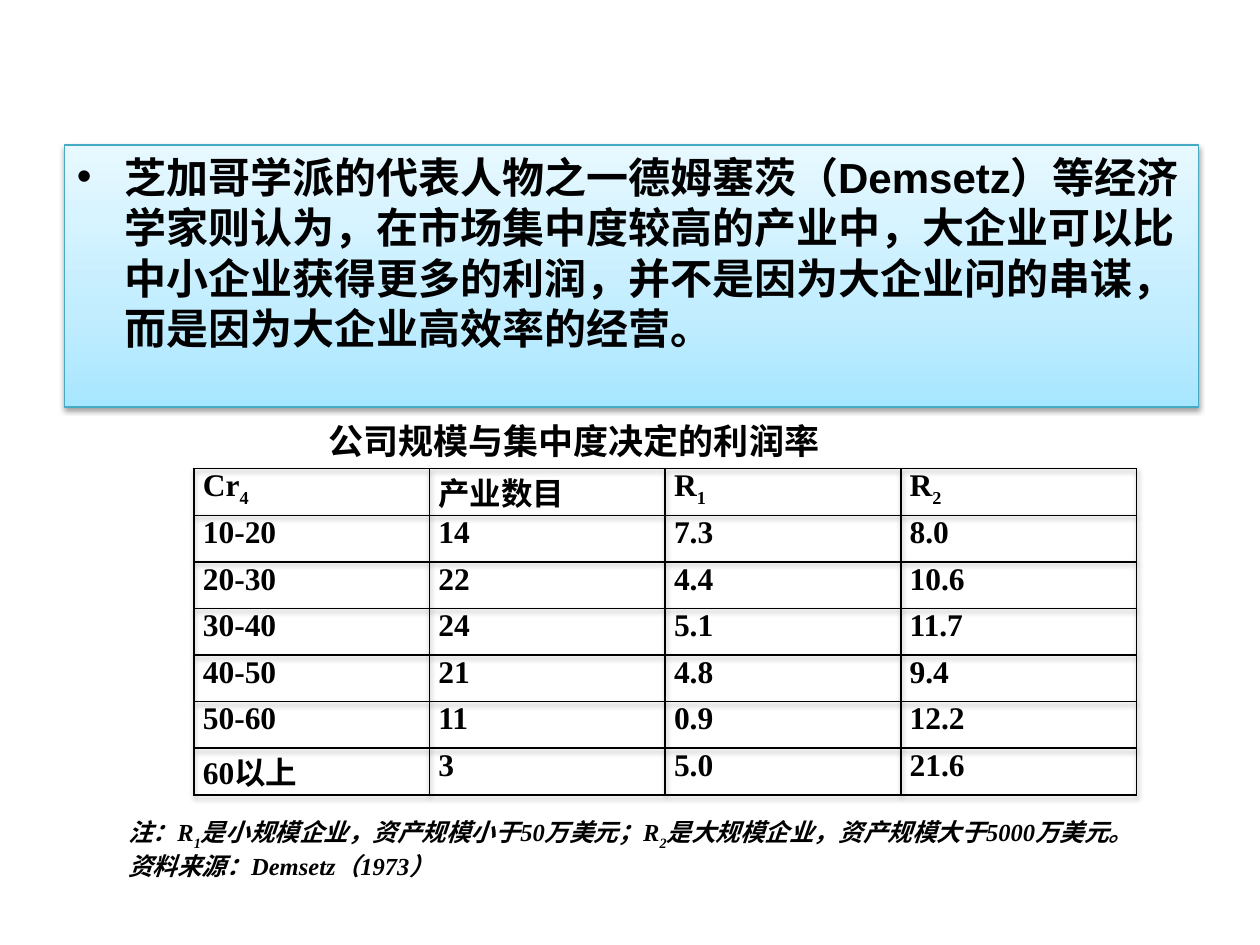
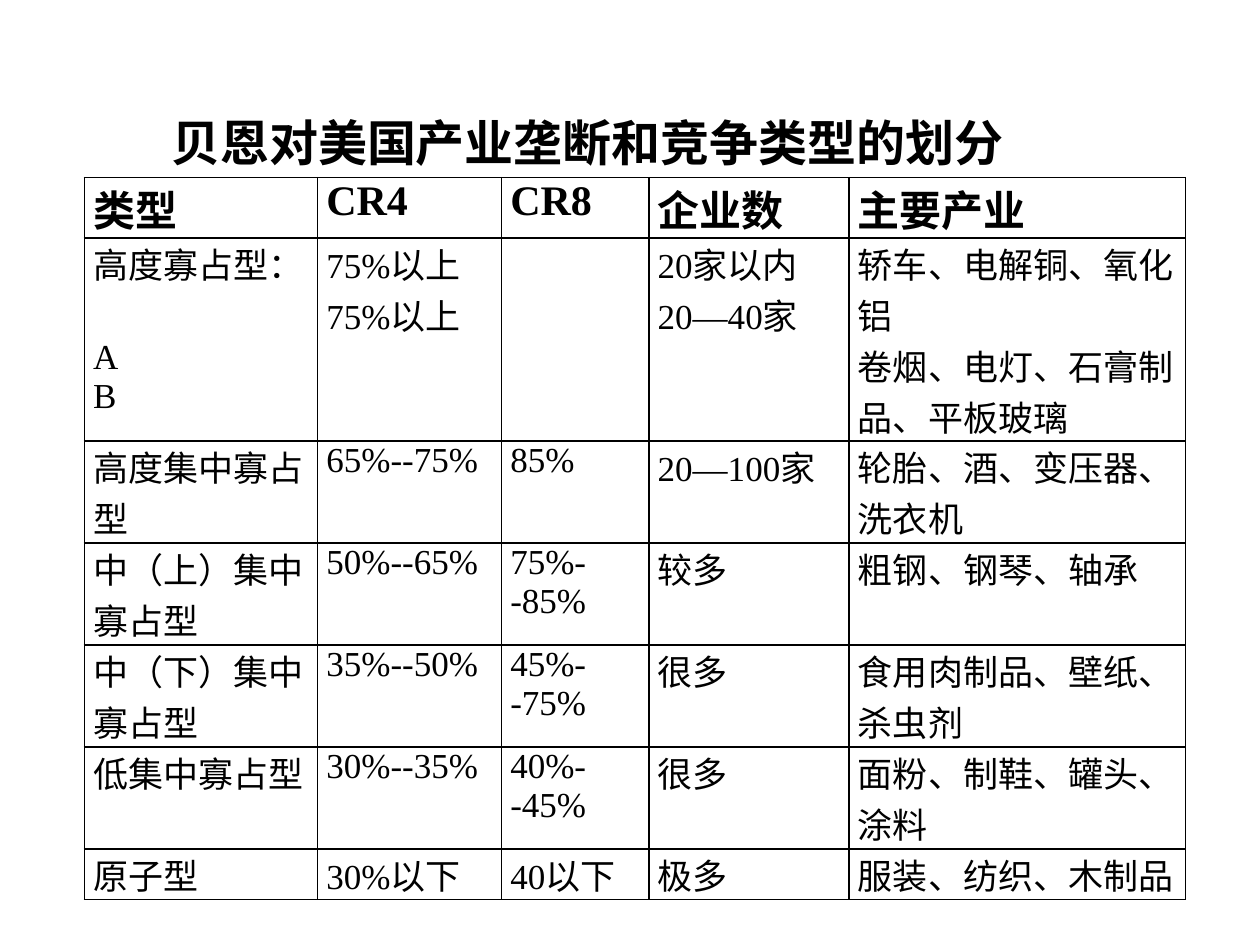
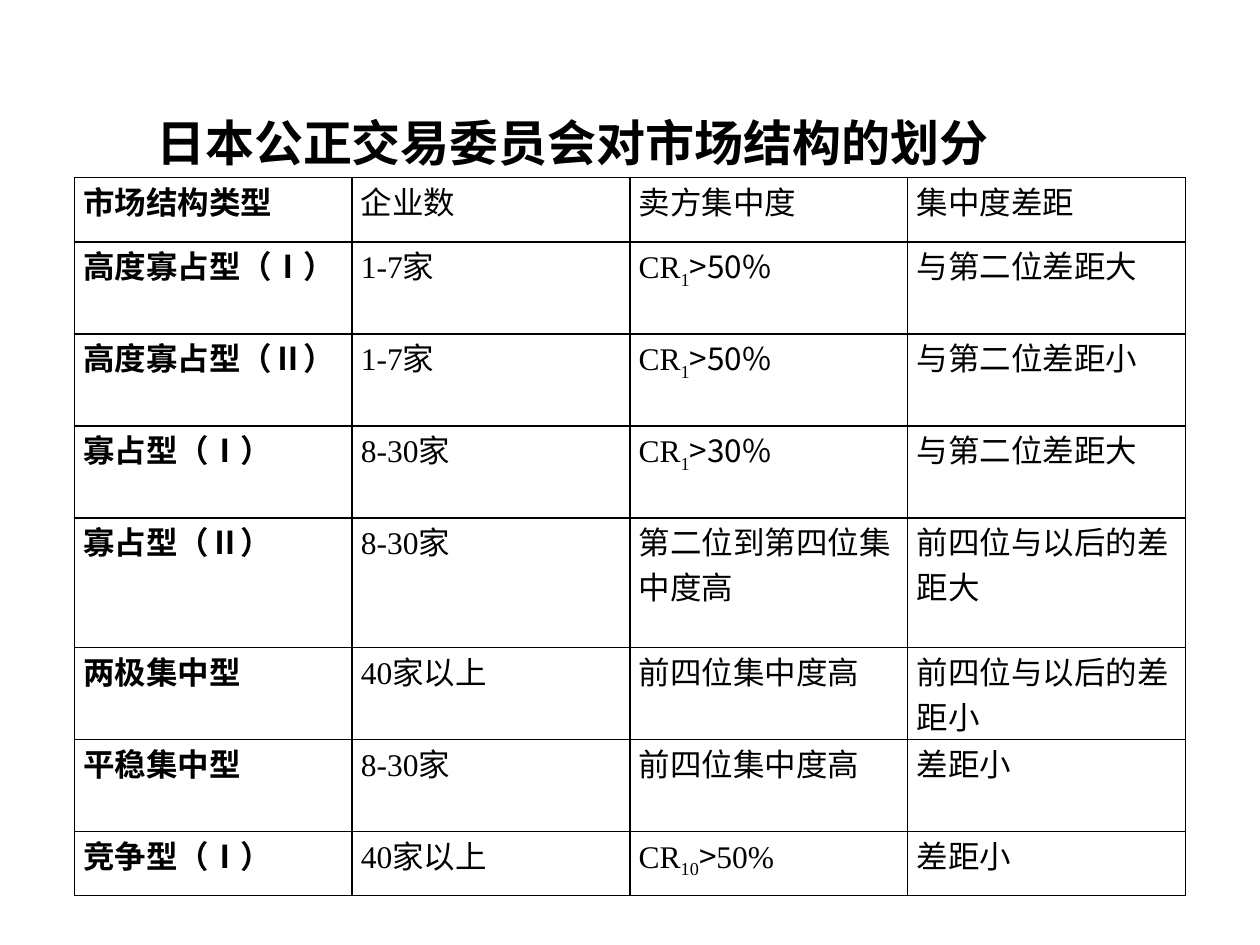
"""Build three slides on market concentration, firm size and profit rates."""
from dataclasses import dataclass

from pptx import Presentation
from pptx import util as u
from pptx.dml.color import RGBColor
from pptx.enum import text
from pptx.oxml import parse_xml
from pptx.oxml.ns import nsdecls


@dataclass(frozen=True)
class Theme:
    ink: str = "000000"
    panel_line: str = "46AAC5"
    panel_stops: tuple = ((0, "A7E6FF"), (35, "C1EDFF"), (100, "E7F8FF"))
    serif: str = "Times New Roman"
    sans: str = "Arial"
    cjk: str = "Noto Sans CJK SC"
    title: int = 28
    lead: int = 24
    caption: int = 20
    body: int = 18
    note: int = 14


T = Theme()
BASELINES = {"sub": "-25000", "low": "-30000"}
SHADOW = (f'<a:effectLst {nsdecls("a")}><a:outerShdw blurRad="40000" dist="20000" '
          f'dir="5400000" rotWithShape="0"><a:srgbClr val="{T.ink}"><a:alpha val="38000"/>'
          '</a:srgbClr></a:outerShdw></a:effectLst>')


def write(tf, content, size, bold=True, italic=False, font=T.serif, align=None):
    """Write paragraphs whose runs are strings or (string, style) pairs."""
    paragraphs = content if isinstance(content, list) else [content]
    for i, runs in enumerate(paragraphs):
        p = tf.add_paragraph() if i else tf.paragraphs[0]
        p.alignment = align
        for run in [runs] if isinstance(runs, str) else runs:
            words, style = (run, None) if isinstance(run, str) else run
            r = p.add_run()
            r.text = words
            r.font.size = u.Pt(size)
            r.font.bold = bold
            r.font.italic = italic
            r.font.color.rgb = RGBColor.from_string(T.ink)
            r.font.name = T.cjk if style == "cjk" else font
            rPr = r.font._element
            rPr.append(parse_xml(f'<a:ea {nsdecls("a")} typeface="{T.cjk}"/>'))
            if style in BASELINES:
                rPr.set("baseline", BASELINES[style])


def place(sp, left, top, width, height):
    """Set the position and size of a shape in inches."""
    sp.left, sp.top = u.Inches(left), u.Inches(top)
    sp.width, sp.height = u.Inches(width), u.Inches(height)


profit_rows = [
    [("Cr", ("4", "sub")), "产业数目", ("R", ("1", "sub")), ("R", ("2", "sub"))],
    ["10-20", "14", "7.3", "8.0"],
    ["20-30", "22", "4.4", "10.6"],
    ["30-40", "24", "5.1", "11.7"],
    ["40-50", "21", "4.8", "9.4"],
    ["50-60", "11", "0.9", "12.2"],
    ["60以上", "3", "5.0", "21.6"],
]
bain_rows = [
    ["类型", "CR4", "CR8", "企业数", "主要产业"],
    [["高度寡占型：", "A", "B"], ["75%以上", "75%以上"], "", ["20家以内", "20—40家"],
     ["轿车、电解铜、氧化铝", "卷烟、电灯、石膏制品、平板玻璃"]],
    ["高度集中寡占型", "65%--75%", "85%", "20—100家", "轮胎、酒、变压器、洗衣机"],
    ["中（上）集中寡占型", "50%--65%", "75%--85%", "较多", "粗钢、钢琴、轴承"],
    ["中（下）集中寡占型", "35%--50%", "45%--75%", "很多", "食用肉制品、壁纸、杀虫剂"],
    ["低集中寡占型", "30%--35%", "40%--45%", "很多", "面粉、制鞋、罐头、涂料"],
    ["原子型", "30%以下", "40以下", "极多", "服装、纺织、木制品"],
]
over_50 = ("CR", ("1", "sub"), (">50%", "cjk"))
over_30 = ("CR", ("1", "sub"), (">30%", "cjk"))
top_ten = ("CR", ("10", "sub"), (">", "cjk"), "50%")
japan_rows = [
    ["市场结构类型", "企业数", "卖方集中度", "集中度差距"],
    ["高度寡占型（Ⅰ）", "1-7家", over_50, "与第二位差距大"],
    ["高度寡占型（Ⅱ）", "1-7家", over_50, "与第二位差距小"],
    ["寡占型（Ⅰ）", "8-30家", over_30, "与第二位差距大"],
    ["寡占型（Ⅱ）", "8-30家", "第二位到第四位集中度高", "前四位与以后的差距大"],
    ["两极集中型", "40家以上", "前四位集中度高", "前四位与以后的差距小"],
    ["平稳集中型", "8-30家", "前四位集中度高", "差距小"],
    ["竞争型（Ⅰ）", "40家以上", top_ten, "差距小"],
]
pages = [
    dict(layout=1, title="公司规模与集中度决定的利润率", title_at=(2.48, 3.28, 4.15, 0.44),
         title_size=T.caption, align=text.PP_ALIGN.CENTER, left=1.54, top=3.72,
         cols=[1.87] * 4, heights=[0.37] * 7, rows=profit_rows,
         sizes=(T.body, T.body), bold=lambda row, col: True),
    dict(layout=5, title="贝恩对美国产业垄断和竞争类型的划分", title_at=(1.26, 0.84, 6.85, 0.57),
         title_size=T.title, align=text.PP_ALIGN.LEFT, left=0.67, top=1.41,
         cols=[1.85, 1.46, 1.17, 1.59, 2.67], heights=[0.48, 1.61] + [0.81] * 4 + [0.4],
         rows=bain_rows, sizes=(T.lead, T.caption), bold=lambda row, col: row == 0),
    dict(layout=5, title="日本公正交易委员会对市场结构的划分", title_at=(1.14, 0.84, 6.88, 0.57),
         title_size=T.title, align=text.PP_ALIGN.LEFT, left=0.59, top=1.41,
         cols=[8.82 / 4] * 4, heights=[0.51] + [0.73] * 3 + [1.03] + [0.73] * 2 + [0.51],
         rows=japan_rows, sizes=(T.body, T.body), bold=lambda row, col: col == 0),
]

prs = Presentation()
prs.slide_width, prs.slide_height = u.Inches(10), u.Inches(7.5)
slides, tables = [], []

for page in pages:
    s = prs.slides.add_slide(prs.slide_layouts[page["layout"]])
    title = s.shapes.title
    place(title, *page["title_at"])
    tf = title.text_frame
    tf.word_wrap = False
    tf.auto_size = text.MSO_AUTO_SIZE.SHAPE_TO_FIT_TEXT
    tf.vertical_anchor = text.MSO_ANCHOR.MIDDLE
    write(tf, page["title"], page["title_size"], align=page["align"])

    cols, heights = page["cols"], page["heights"]
    frame = s.shapes.add_table(len(heights), len(cols), u.Inches(page["left"]),
                               u.Inches(page["top"]), u.Inches(sum(cols)),
                               u.Inches(sum(heights)))
    table = frame.table
    table.first_row = table.horz_banding = False
    for col, width in enumerate(cols):
        table.columns[col].width = u.Inches(width)
    for row, height in enumerate(heights):
        table.rows[row].height = u.Inches(height)
        for col, content in enumerate(page["rows"][row]):
            cell = table.cell(row, col)
            cell.margin_left = cell.margin_right = u.Inches(0.07)
            cell.margin_top = cell.margin_bottom = 0
            tcPr = cell._tc.get_or_add_tcPr()
            for side in ("lnL", "lnR", "lnT", "lnB"):
                tcPr.append(parse_xml(
                    f'<a:{side} {nsdecls("a")} w="12700"><a:solidFill>'
                    f'<a:srgbClr val="{T.ink}"/></a:solidFill></a:{side}>'))
            cell.fill.background()
            if content:
                write(cell.text_frame, content, page["sizes"][row > 0],
                      bold=page["bold"](row, col))
    slides.append(s)
    tables.append(table)

tables[0]._tbl.tblPr.insert(0, parse_xml(SHADOW))
tables[1].cell(1, 0).text_frame.paragraphs[1].space_before = u.Pt(28)

panel = slides[0].placeholders[1]
place(panel, 0.51, 1.15, 9, 2.08)
stops = "".join(f'<a:gs pos="{pos * 1000}"><a:srgbClr val="{color}"/></a:gs>'
                for pos, color in T.panel_stops)
spPr = panel._element.spPr
spPr.append(parse_xml(f'<a:gradFill {nsdecls("a")} rotWithShape="1"><a:gsLst>{stops}</a:gsLst>'
                      '<a:lin ang="16200000" scaled="0"/></a:gradFill>'))
panel.line.color.rgb = RGBColor.from_string(T.panel_line)
panel.line.width = u.Pt(0.75)
spPr.append(parse_xml(SHADOW))
tf = panel.text_frame
tf.auto_size = text.MSO_AUTO_SIZE.NONE
write(tf, "芝加哥学派的代表人物之一德姆塞茨（Demsetz）等经济学家则认为，在市场集中度较高的产业中，"
      "大企业可以比中小企业获得更多的利润，并不是因为大企业问的串谋，而是因为大企业高效率的经营。",
      T.lead, font=T.sans)

note = slides[0].shapes.add_textbox(u.Inches(0.92), u.Inches(6.45), u.Inches(8.43), u.Inches(0.57))
tf = note.text_frame
tf.word_wrap = True
tf.auto_size = text.MSO_AUTO_SIZE.SHAPE_TO_FIT_TEXT
tf.vertical_anchor = text.MSO_ANCHOR.MIDDLE
write(tf, [("注：R", ("1", "low"), "是小规模企业，资产规模小于50万美元；R", ("2", "low"),
            "是大规模企业，资产规模大于5000万美元。"), "资料来源：Demsetz（1973）"],
      T.note, italic=True)

prs.save("out.pptx")
